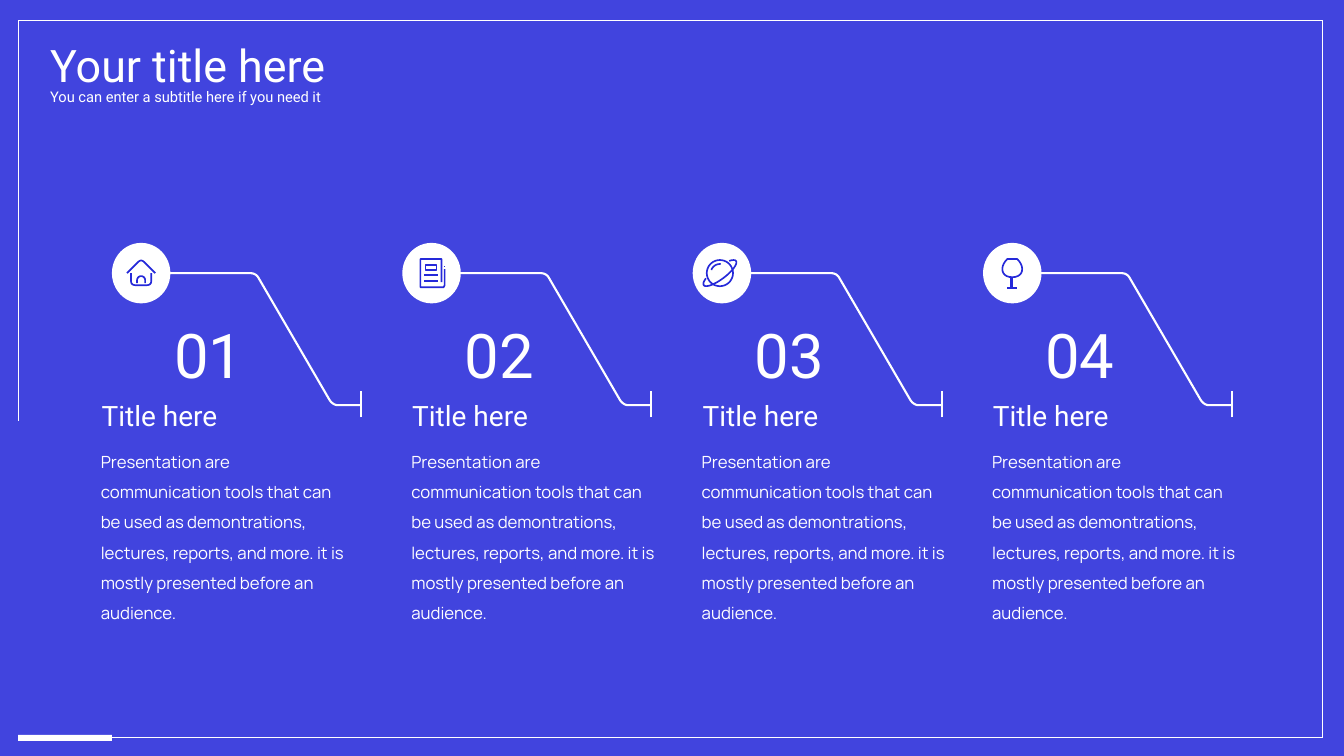
from dataclasses import dataclass
from math import cos, radians, sin

from lxml.etree import SubElement
from pptx import Presentation
from pptx.dml.color import RGBColor
from pptx.enum.shapes import MSO_CONNECTOR, MSO_SHAPE
from pptx.enum.text import MSO_AUTO_SIZE, PP_ALIGN
from pptx.oxml.ns import qn
from pptx.util import Inches, Pt


@dataclass(frozen=True)
class Theme:
    background: RGBColor = RGBColor.from_string("4144DE")
    white: RGBColor = RGBColor.from_string("FFFFFF")
    icon: RGBColor = RGBColor.from_string("2529D9")
    heading_font: str = "Roboto"
    body_font: str = "Manrope"
    title: float = 32
    subtitle: float = 10.5
    number: float = 44
    step: float = 20
    body: float = 12
    frame_line: float = 0.5
    track_line: float = 1.5
    icon_line: float = 1.2


def curve(p0, p1, p2, p3, n=10):
    """Points along a cubic Bezier curve."""
    weights = [((1 - t) ** 3, 3 * t * (1 - t) ** 2, 3 * t * t * (1 - t), t ** 3)
               for t in (i / n for i in range(n + 1))]
    return [tuple(sum(w * p[axis] for w, p in zip(ws, (p0, p1, p2, p3)))
                  for axis in (0, 1)) for ws in weights]


def arc(cx, cy, rx, ry, start, end, tilt=0, n=36):
    """Points along an elliptical arc; angles in degrees, clockwise."""
    points = []
    for i in range(n + 1):
        a, b = radians(start + (end - start) * i / n), radians(tilt)
        x, y = rx * cos(a), ry * sin(a)
        points.append((cx + x * cos(b) - y * sin(b), cy + x * sin(b) + y * cos(b)))
    return points


def mirror(points):
    return [(-x, y) for x, y in reversed(points)]


class Deck:
    """Holds the theme and the slide being drawn; positions are in inches."""

    def __init__(self, prs, theme):
        self.theme = theme
        self.slide = prs.slides.add_slide(prs.slide_layouts[6])
        self.shapes = self.slide.shapes
        fill = self.slide.background.fill
        fill.solid()
        fill.fore_color.rgb = theme.background

    def text(self, text, x, y, w, h, size, font=None, align=PP_ALIGN.LEFT,
             wrap=True, inset=True, spacing=None):
        tf = self.shapes.add_textbox(Inches(x), Inches(y), Inches(w), Inches(h)).text_frame
        tf.word_wrap = wrap
        tf.auto_size = MSO_AUTO_SIZE.SHAPE_TO_FIT_TEXT
        if not inset:
            tf.margin_left = tf.margin_top = tf.margin_right = tf.margin_bottom = 0
        p = tf.paragraphs[0]
        p.text = text
        p.alignment = align
        if spacing:
            p.line_spacing = spacing
        r = p.runs[0]
        r.font.size = Pt(size)
        r.font.name = font or self.theme.heading_font
        r.font.color.rgb = self.theme.white

    def shape(self, kind, x, y, w, h):
        sp = self.shapes.add_shape(kind, Inches(x), Inches(y), Inches(w), Inches(h))
        sp.shadow.inherit = False
        sp.fill.solid()
        sp.fill.fore_color.rgb = self.theme.white
        sp.line.fill.background()
        return sp

    def line(self, x1, y1, x2, y2, width):
        cxn = self.shapes.add_connector(
            MSO_CONNECTOR.STRAIGHT, Inches(x1), Inches(y1), Inches(x2), Inches(y2))
        cxn.line.color.rgb = self.theme.white
        cxn.line.width = Pt(width)
        SubElement(cxn._element.spPr, qn("a:effectLst"))
        return cxn

    def strokes(self, paths, cx, cy, color, width):
        """Draw open paths, given relative to (cx, cy), as one outline."""
        builder = None
        for path in paths:
            points = [(Inches(cx + x), Inches(cy + y)) for x, y in path]
            if builder is None:
                builder = self.shapes.build_freeform(*points[0])
            else:
                builder.move_to(*points[0])
            builder.add_line_segments(points[1:], close=False)
        sp = builder.convert_to_shape()
        sp.shadow.inherit = False
        sp.fill.background()
        sp.line.color.rgb = color
        sp.line.width = Pt(width)


TRACK = [[(0.26, 0),
          *curve((1.08, 0), (1.11, 0), (1.14, 0.01), (1.16, 0.04)),
          *curve((1.87, 1.26), (1.89, 1.29), (1.92, 1.31), (1.95, 1.31)),
          (2.18, 1.31)]]

HOUSE_WALL = [(-0.1, 0), *curve((-0.1, 0.08), (-0.1, 0.11), (-0.08, 0.12), (-0.05, 0.12))]
HOUSE = [
    [(-0.14, 0), *curve((-0.03, -0.11), (-0.01, -0.13), (0.01, -0.13), (0.03, -0.11)), (0.14, 0)],
    HOUSE_WALL + mirror(HOUSE_WALL),
    [(-0.04, 0.1), *arc(0, 0.07, 0.04, 0.04, 180, 360), (0.04, 0.1)],
]
NOTEBOOK = [
    [(0.1, 0.09), (0.1, -0.14), (-0.11, -0.14), (-0.11, 0.14),
     (0.12, 0.14), (0.13, 0.12), (0.13, -0.04)],
    [(0.13, -0.07), (0.13, -0.06)],
    [(-0.06, -0.08), (0.05, -0.08), (0.05, -0.03), (-0.06, -0.03), (-0.06, -0.08)],
    *([(-0.07, y), (0.06, y)] for y in (0.02, 0.08)),
]
PLANET = [
    arc(-0.02, 0, 0.13, 0.13, 0, 360),
    arc(-0.02, 0, 0.09, 0.09, 200, 275),
    arc(-0.02, 0, 0.2, 0.06, -43, 225, tilt=-37),
]
BOWL_SIDE = curve((0.05, -0.14), (0.13, -0.06), (0.11, 0.04), (0, 0.04))
GLASS = [
    BOWL_SIDE + mirror(BOWL_SIDE) + BOWL_SIDE[:1],
    [(-0.01, 0.04), (-0.01, 0.14), (0, 0.14), (0, 0.04)],
    [(-0.05, 0.15), (0.05, 0.15)],
]

BODY = ("Presentation are communication tools that can be used as demontrations, "
        "lectures, reports, and more. it is mostly presented before an audience.")
FIRST_X, PITCH = 1.11, 2.88
DISC_TOP, DISC_W, DISC_H = 2.41, 0.58, 0.6
CENTER_Y = DISC_TOP + DISC_H / 2


def add_frame(deck):
    left, top, right, bottom = 0.18, 0.2, 13.12, 7.32
    width = deck.theme.frame_line
    deck.line(left, top, left, 4.18, width)
    deck.line(right, top, left, top, width)
    deck.line(right, top, right, bottom, width)
    bar = deck.shape(MSO_SHAPE.RECTANGLE, left, 7.29, 0.93, 0.06)
    deck.line(1.11, bottom, right, bottom, width).begin_connect(bar, 3)


def add_step(deck, index, icon):
    theme = deck.theme
    x = FIRST_X + index * PITCH
    cx = x + DISC_W / 2
    deck.strokes(TRACK, cx, CENTER_Y, theme.white, theme.track_line)
    deck.line(cx + 2.18, 4.14, cx + 2.18, 3.88, theme.track_line)
    deck.shape(MSO_SHAPE.OVAL, x, DISC_TOP, DISC_W, DISC_H)
    deck.strokes(icon, cx, CENTER_Y, theme.icon, theme.icon_line)
    deck.text(f"{index + 1:02}", x + 0.5, 3.09, 0.92, 0.84, theme.number,
              align=PP_ALIGN.CENTER, wrap=False)
    text_x = x if index else x - 0.2
    deck.text(BODY, text_x + 0.09, 4.38, 2.49, 1.78, theme.body,
              font=theme.body_font, inset=False, spacing=1.5)
    deck.text("Title here", text_x, 3.9, 2.67, 0.44, theme.step)


def main():
    prs = Presentation()
    prs.slide_width, prs.slide_height = Inches(13.33), Inches(7.5)
    theme = Theme()
    deck = Deck(prs, theme)
    add_frame(deck)
    deck.text("Your title here", 0.4, 0.33, 4.67, 0.64, theme.title)
    deck.text("You can enter a subtitle here if you need it", 0.4, 0.82, 4.06, 0.28,
              theme.subtitle, align=PP_ALIGN.JUSTIFY)
    for index, icon in enumerate((HOUSE, NOTEBOOK, PLANET, GLASS)):
        add_step(deck, index, icon)
    prs.save("out.pptx")


if __name__ == "__main__":
    main()
